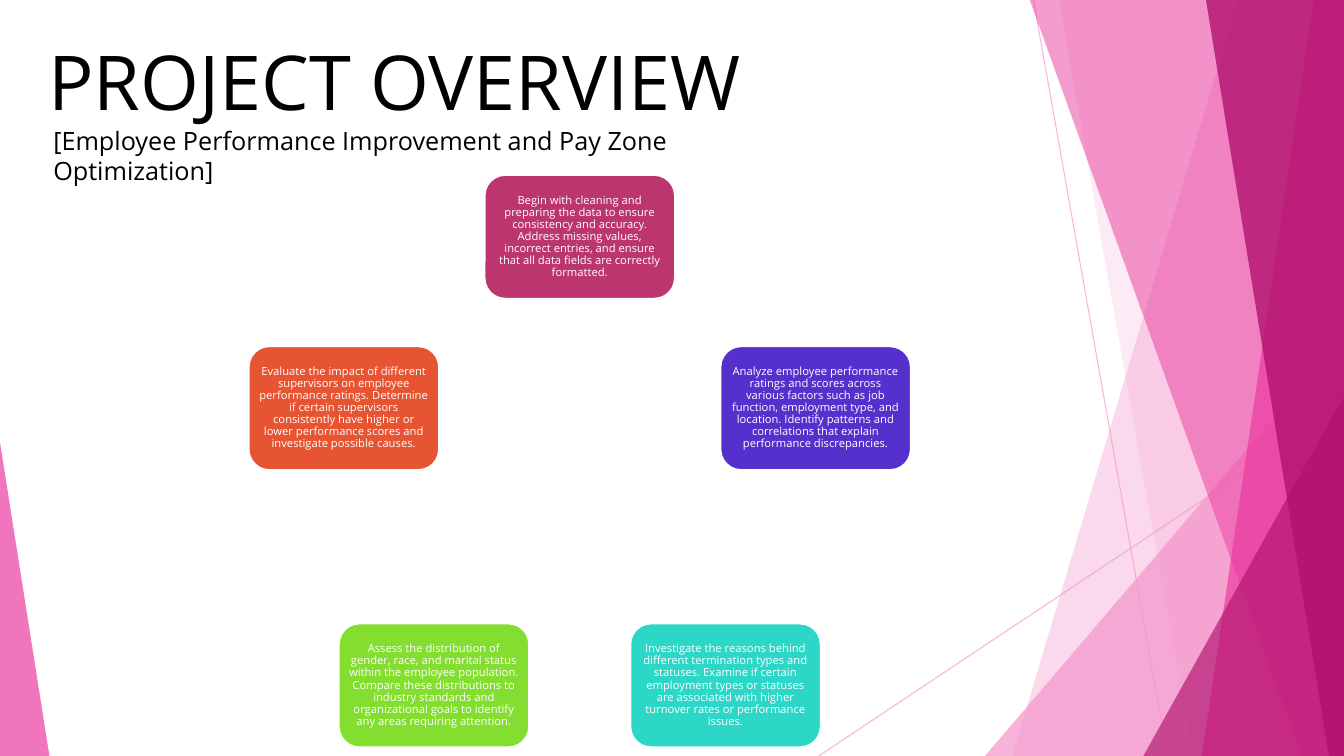
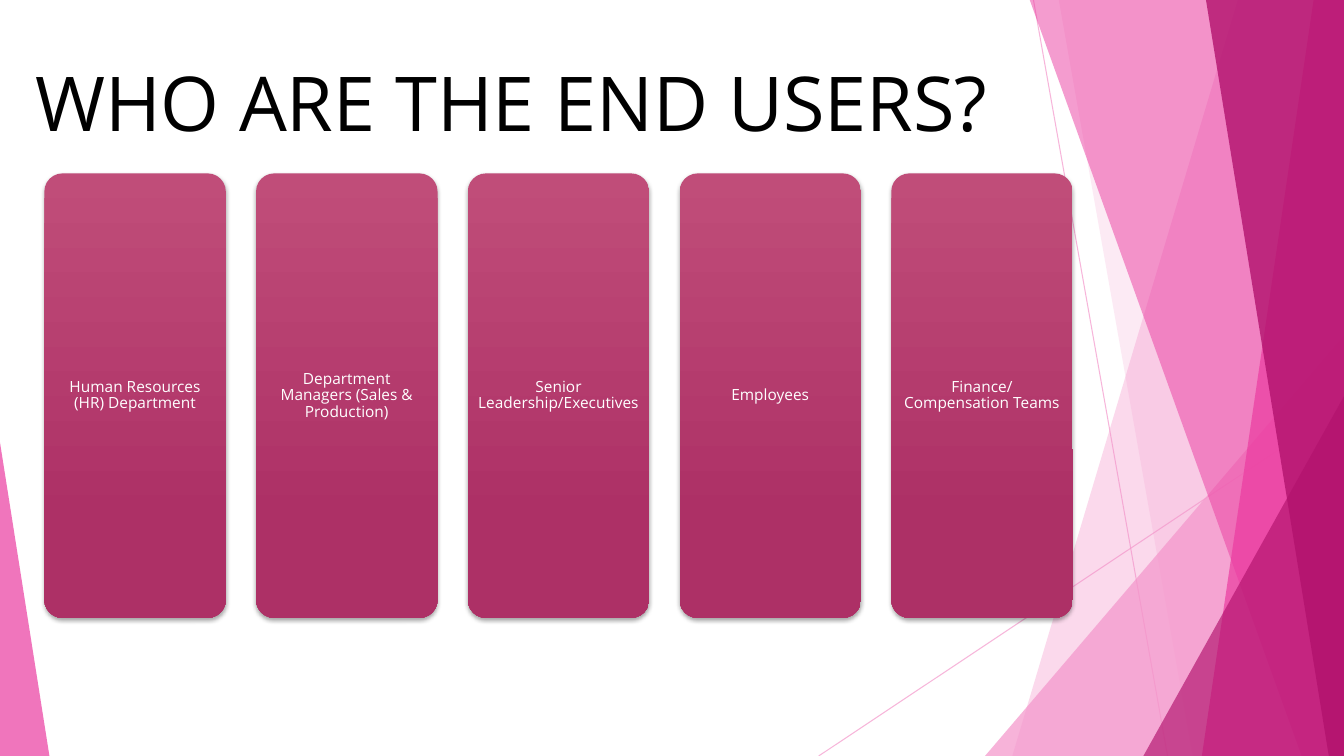
import math

import lxml.etree
import pptx
import pptx.dml.color
import pptx.enum.shapes
import pptx.enum.text
import pptx.oxml.ns
import pptx.util

Inches = pptx.util.Inches
Pt = pptx.util.Pt
SHAPE = pptx.enum.shapes.MSO_SHAPE
ALIGN = pptx.enum.text.PP_ALIGN
ANCHOR = pptx.enum.text.MSO_ANCHOR
qn = pptx.oxml.ns.qn

WIDTH, HEIGHT = 13.33, 7.5
FONT = "Open Sans"
BLACK, WHITE = "000000", "FFFFFF"
PALE, PINK, DEEP = "F496CB", "EB3BA0", "B2126D"

# Start and end of each thin line
RAYS = [((10.25, 0), (11.58, HEIGHT)), ((WIDTH, 4.03), (8.12, HEIGHT))]

# Bands: top and bottom x of the left edge. Wedges: box and apex.
LAYERS = [
    ("band", (12.28, 10.04), PALE, 36),
    ("band", (10.5, 11.83), PALE, 20),
    ("wedge", (9.77, 3.33, 3.56, 4.17, 1), PALE, 72),
    ("band", (10.21, 12.91), PINK, 50),
    ("band", (13.03, 11.92), PINK, 70),
    ("band", (11.96, 13.18), DEEP, 80),
    ("wedge", (11.34, 3.93, 1.99, 3.57, 1), DEEP, 66),
    ("wedge", (0, 4.39, 0.49, 3.11, 0), PINK, 70),
]

STEPS = [
    ("BD356F", "Begin with cleaning and preparing the data to ensure "
     "consistency and accuracy. Address missing values, incorrect entries, "
     "and ensure that all data fields are correctly formatted."),
    ("5530CC", "Analyze employee performance ratings and scores across "
     "various factors such as job function, employment type, and location. "
     "Identify patterns and correlations that explain performance "
     "discrepancies."),
    ("2DD7C7", "Investigate the reasons behind different termination types "
     "and statuses. Examine if certain employment types or statuses are "
     "associated with higher turnover rates or performance issues."),
    ("83DE30", "Assess the distribution of gender, race, and marital status "
     "within the employee population. Compare these distributions to "
     "industry standards and organizational goals to identify any areas "
     "requiring attention."),
    ("E65432", "Evaluate the impact of different supervisors on employee "
     "performance ratings. Determine if certain supervisors consistently "
     "have higher or lower performance scores and investigate possible "
     "causes."),
]
RING_X, RING_Y, RADIUS = 5.75, 4.81, 2.46
STEP_W, STEP_H = 1.89, 1.23

USERS = [
    "Human Resources (HR) Department",
    "Department Managers (Sales & Production)",
    "Senior Leadership/Executives",
    "Employees",
    "Finance/Compensation Teams",
]
USER_X, USER_Y, USER_W, USER_H, PITCH = 0.44, 1.72, 1.8, 4.41, 2.1
GRADIENT = [(0, "C04D79"), (0.78, "AD3066")]


def rgb(code):
    return pptx.dml.color.RGBColor.from_string(code)


def fade(shape, percent):
    """Make the colours of a shape partly transparent."""
    for color in shape._element.spPr.iter(qn("a:srgbClr")):
        alpha = lxml.etree.SubElement(color, qn("a:alpha"))
        alpha.set("val", str(percent * 1000))


def write(shape, text, size, color=WHITE, align=ALIGN.CENTER,
          anchor=ANCHOR.MIDDLE, inset=None, spacing=None):
    frame = shape.text_frame
    frame.word_wrap = True
    frame.vertical_anchor = anchor
    if inset is not None:
        frame.margin_left = frame.margin_right = Inches(inset)
        frame.margin_top = frame.margin_bottom = Inches(inset)
    para = frame.paragraphs[0]
    para.alignment = align
    para.line_spacing = spacing
    run = para.add_run()
    run.text = text
    run.font.name = FONT
    run.font.size = Pt(size)
    run.font.color.rgb = rgb(color)


def label(slide, text, box, size):
    shape = slide.shapes.add_textbox(*map(Inches, box))
    write(shape, text, size, color=BLACK, align=ALIGN.LEFT, anchor=ANCHOR.TOP)


def ray(slide, start, end):
    line = slide.shapes.add_connector(
        pptx.enum.shapes.MSO_CONNECTOR.STRAIGHT,
        *map(Inches, start + end))
    line.line.color.rgb = rgb(PALE)
    line.line.width = Pt(0.75)
    fade(line, 70)
    lxml.etree.SubElement(line._element.spPr, qn("a:effectLst"))


def band(slide, top, bottom):
    """Draw a panel from a slanted left edge to the slide's right edge."""
    points = [(top, -0.01), (WIDTH, -0.01), (WIDTH, HEIGHT), (bottom, HEIGHT)]
    points = [(Inches(x), Inches(y)) for x, y in points]
    path = slide.shapes.build_freeform(*points[0])
    path.add_line_segments(points[1:], close=True)
    return path.convert_to_shape()


def wedge(slide, left, top, width, height, apex):
    shape = slide.shapes.add_shape(
        SHAPE.ISOSCELES_TRIANGLE, *map(Inches, (left, top, width, height)))
    shape.adjustments[0] = apex
    return shape


def backdrop(slide):
    for start, end in RAYS:
        ray(slide, start, end)
    draw = {"band": band, "wedge": wedge}
    for kind, place, color, alpha in LAYERS:
        shape = draw[kind](slide, *place)
        shape.shadow.inherit = False
        shape.fill.solid()
        shape.fill.fore_color.rgb = rgb(color)
        shape.line.fill.background()
        fade(shape, alpha)


def start(deck, title, box):
    """Add a slide with the shared backdrop and a title."""
    slide = deck.slides.add_slide(deck.slide_layouts[6])
    backdrop(slide)
    label(slide, title, box, 54)
    return slide


def card(slide, box, corner):
    shape = slide.shapes.add_shape(
        SHAPE.ROUNDED_RECTANGLE, *map(Inches, box))
    shape.adjustments[0] = corner
    shape.shadow.inherit = False
    return shape


def shade(shape):
    """Give a card its gradient and soft shadow."""
    shape.fill.gradient()
    shape.fill.gradient_angle = 270
    for stop, (place, color) in zip(shape.fill.gradient_stops, GRADIENT):
        stop.position = place
        stop.color.rgb = rgb(color)
    shape.line.fill.background()
    effects = shape._element.spPr.find(qn("a:effectLst"))
    shadow = lxml.etree.SubElement(
        effects, qn("a:outerShdw"), blurRad=str(Pt(3)), dist=str(Pt(2)),
        dir="5400000", rotWithShape="0")
    color = lxml.etree.SubElement(shadow, qn("a:srgbClr"), val=BLACK)
    lxml.etree.SubElement(color, qn("a:alpha"), val="35000")


def overview(deck):
    slide = start(deck, "PROJECT OVERVIEW", (0.38, 0.3, 7.81, 1))
    label(slide,
          "[Employee Performance Improvement and Pay Zone Optimization]",
          (0.43, 1.19, 7.91, 0.39), 18)
    for i, (color, text) in enumerate(STEPS):
        angle = math.tau * i / len(STEPS)
        left = RING_X + RADIUS * math.sin(angle) - STEP_W / 2
        top = RING_Y - RADIUS * math.cos(angle) - STEP_H / 2
        shape = card(slide, (left, top, STEP_W, STEP_H), 0.167)
        shape.fill.solid()
        shape.fill.fore_color.rgb = rgb(color)
        shape.line.color.rgb = rgb(WHITE)
        shape.line.width = Pt(1.5)
        write(shape, text, 8, inset=0.03, spacing=0.9)


def users(deck):
    slide = start(deck, "WHO ARE THE END USERS?", (0.25, 0.51, 9.7, 1))
    for i, text in enumerate(USERS):
        box = (USER_X + i * PITCH, USER_Y, USER_W, USER_H)
        shape = card(slide, box, 0.1)
        shade(shape)
        write(shape, text, 11, inset=0.05, spacing=0.9)


def main():
    deck = pptx.Presentation()
    deck.slide_width = Inches(WIDTH)
    deck.slide_height = Inches(HEIGHT)
    overview(deck)
    users(deck)
    deck.save("out.pptx")


if __name__ == "__main__":
    main()
